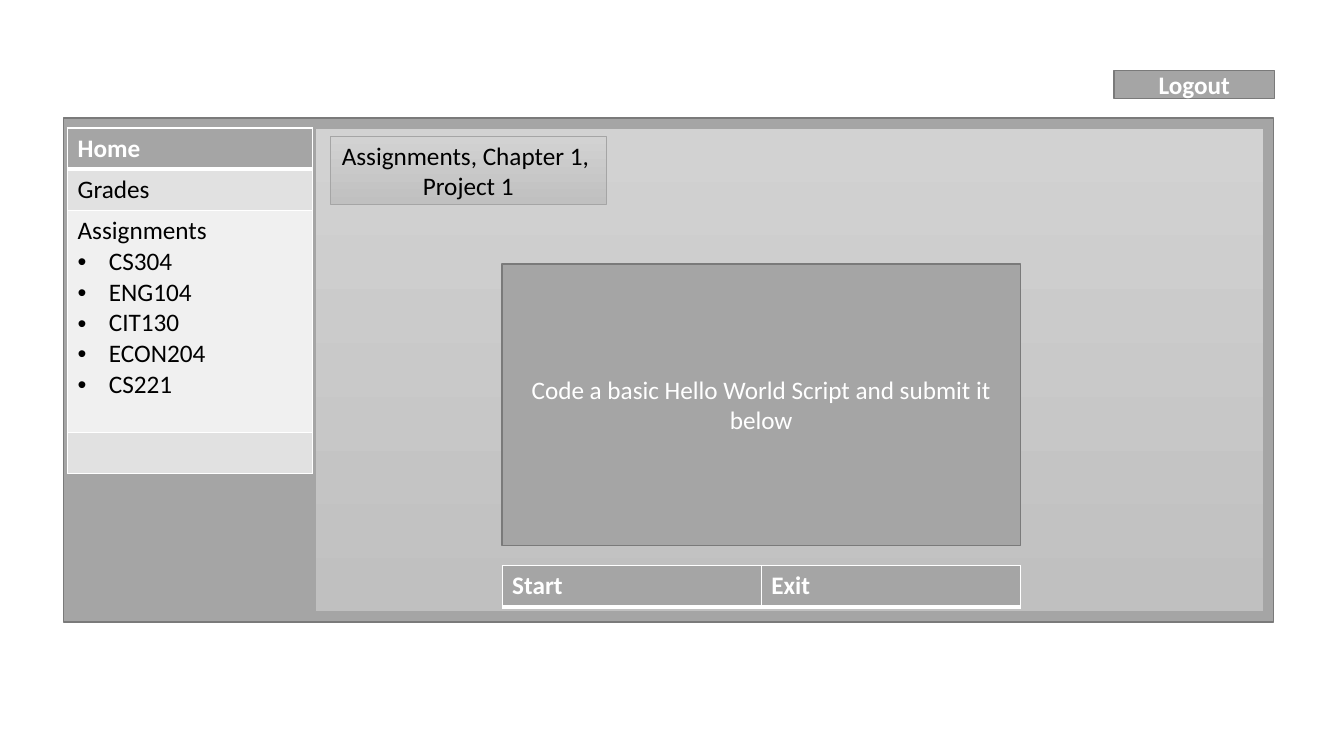
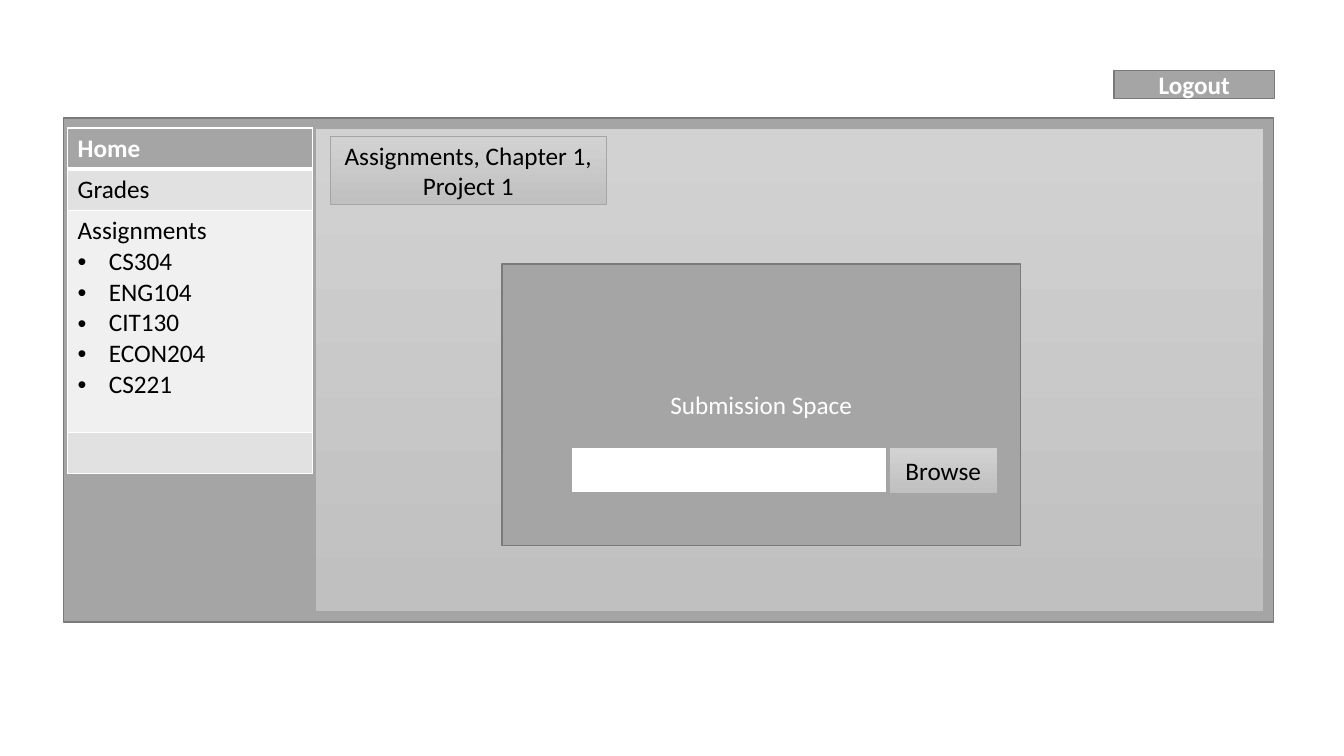
from typing import NamedTuple

from lxml import etree
from pptx import Presentation
from pptx.dml.color import RGBColor
from pptx.enum.shapes import MSO_SHAPE
from pptx.enum.text import MSO_ANCHOR, PP_ALIGN
from pptx.oxml.ns import qn
from pptx.util import Pt

RECTANGLE = MSO_SHAPE.RECTANGLE
MIDDLE = MSO_ANCHOR.MIDDLE
CENTER = PP_ALIGN.CENTER

EMU_PER_PX = 9144
BLANK_LAYOUT = 6

WHITE = RGBColor(0xFF, 0xFF, 0xFF)
BLACK = RGBColor(0x00, 0x00, 0x00)
GRAY = RGBColor(0xA5, 0xA5, 0xA5)
DARK_GRAY = RGBColor(0x7A, 0x7A, 0x7A)
BAND_GRAY = RGBColor(0xE1, 0xE1, 0xE1)
PALE_GRAY = RGBColor(0xF0, 0xF0, 0xF0)
GRADIENT = (RGBColor(0xD2, 0xD2, 0xD2), RGBColor(0xC0, 0xC0, 0xC0))

SOLID = {"fill": GRAY, "line": DARK_GRAY, "line_width": 1, "color": WHITE}
SHADED = {"fill": GRADIENT, "line": GRAY, "line_width": 0.5, "color": BLACK}
FIELD = {"fill": WHITE, "line": GRAY, "line_width": 1, "color": BLACK}
HEADER = {"color": WHITE, "bold": True}
BODY = {"color": BLACK, "bold": False}

THIN, THICK = 1, 3
BULLET_INDENT = 31
ROW_HEIGHT = 41
COURSES = ["CS304", "ENG104", "CIT130", "ECON204", "CS221"]


class Box(NamedTuple):
    left: int
    top: int
    width: int
    height: int

    def inner(self, left, top, width, height):
        """Box whose corner is offset from the corner of this one."""
        return Box(self.left + left, self.top + top, width, height)

    def emu(self):
        return [px(length) for length in self]


FRAME = Box(63, 117, 1200, 500)


def px(length):
    return length * EMU_PER_PX


def style_runs(paragraph, color, bold=False):
    formats = {"name": "Calibri", "size": Pt(18), "bold": bold}
    for run in paragraph.runs:
        for name, value in formats.items():
            setattr(run.font, name, value)
        run.font.color.rgb = color


def fill_solid(target, color):
    target.fill.solid()
    target.fill.fore_color.rgb = color


def fill_gradient(shape, colors):
    """Fill from top to bottom."""
    shape.fill.gradient()
    shape.fill.gradient_angle = 270
    for stop, color in zip(shape.fill.gradient_stops, colors):
        stop.color.rgb = color


def add_box(slide, box, style, lines=(), bold=False):
    shape = slide.shapes.add_shape(RECTANGLE, *box.emu())
    shape.shadow.inherit = False
    if style["fill"] is GRADIENT:
        fill_gradient(shape, GRADIENT)
    else:
        fill_solid(shape, style["fill"])
    shape.line.color.rgb = style["line"]
    shape.line.width = Pt(style["line_width"])
    if lines:
        frame = shape.text_frame
        frame.word_wrap = True
        frame.vertical_anchor = MIDDLE
        frame.text = "\n".join(lines)
        for paragraph in frame.paragraphs:
            paragraph.alignment = CENTER
            style_runs(paragraph, style["color"], bold)


def set_borders(cell, top=THIN, bottom=THIN):
    properties = cell._tc.get_or_add_tcPr()
    widths = {"a:lnL": THIN, "a:lnR": THIN, "a:lnT": top, "a:lnB": bottom}
    for position, (tag, width) in enumerate(widths.items()):
        line = etree.Element(qn(tag), w=str(Pt(width)))
        fill = etree.SubElement(line, qn("a:solidFill"))
        etree.SubElement(fill, qn("a:srgbClr"), val=str(WHITE))
        properties.insert(position, line)


def add_bullet(paragraph):
    properties = paragraph._p.get_or_add_pPr()
    properties.set("marL", str(px(BULLET_INDENT)))
    properties.set("indent", str(-px(BULLET_INDENT)))
    etree.SubElement(properties, qn("a:buFont"), typeface="Arial")
    etree.SubElement(properties, qn("a:buChar"), char="•")


def add_plain_table(slide, box, row_heights, column_count):
    """Table with equal columns and no banding."""
    frame = slide.shapes.add_table(len(row_heights), column_count, *box.emu())
    table = frame.table
    table.horz_banding = False
    table.first_row = False
    for column in table.columns:
        column.width = px(box.width // column_count)
    for row, height in zip(table.rows, row_heights):
        row.height = px(height)
    return table


def fill_cell(cell, lines, fill, style, top=THIN, bottom=THIN):
    """Write the first line plain and the others as bullets."""
    fill_solid(cell, fill)
    set_borders(cell, top, bottom)
    cell.text_frame.text = "\n".join(lines)
    for position, paragraph in enumerate(cell.text_frame.paragraphs):
        style_runs(paragraph, **style)
        if position:
            add_bullet(paragraph)


def add_menu(slide, box):
    heights = [ROW_HEIGHT, ROW_HEIGHT, 220, ROW_HEIGHT]
    table = add_plain_table(slide, box, heights, 1)
    rows = [
        (["Home"], GRAY, HEADER, THIN, THICK),
        (["Grades"], BAND_GRAY, BODY, THICK),
        (["Assignments", *COURSES], PALE_GRAY, BODY),
        ([], BAND_GRAY, BODY),
    ]
    for position, row in enumerate(rows):
        fill_cell(table.cell(position, 0), *row)


def add_buttons(slide, box, labels):
    table = add_plain_table(slide, box, [box.height], len(labels))
    for position, label in enumerate(labels):
        fill_cell(table.cell(0, position), [label], GRAY, HEADER, bottom=THICK)


def add_page(presentation, frame, title_lines, message):
    """Add the shared page and return its slide and the box of its card."""
    slide = presentation.slides.add_slide(presentation.slide_layouts[BLANK_LAYOUT])
    panel = frame.inner(250, 10, 940, 480)
    card = panel.inner(185, 135, 514, 279)
    add_box(slide, frame, SOLID)
    add_box(slide, panel, SHADED)
    add_box(slide, panel.inner(15, 8, 273, 68), SHADED, title_lines)
    add_menu(slide, frame.inner(4, 10, 243, 343))
    add_box(slide, frame.inner(1042, -47, 159, 28), SOLID, ["Logout"], bold=True)
    add_box(slide, card, SOLID, [message])
    return slide, card


def add_task_slide(presentation, frame):
    slide, card = add_page(
        presentation, frame, ["Assignments, Chapter 1, ", "Project 1"],
        "Code a basic Hello World Script and submit it below")
    buttons = card.inner(0, card.height + 20, card.width, ROW_HEIGHT)
    add_buttons(slide, buttons, ["Start", "Exit"])


def add_submission_slide(presentation, frame):
    slide, card = add_page(
        presentation, frame, ["Assignments, Chapter 1, Project 1"],
        "Submission Space")
    field = card.inner(69, 182, 312, 45)
    add_box(slide, field, FIELD)
    add_box(slide, field.inner(field.width + 3, 0, 107, field.height), SHADED, ["Browse"])


def main():
    presentation = Presentation()
    presentation.slide_width = px(1333)
    presentation.slide_height = px(750)
    add_task_slide(presentation, FRAME)
    add_submission_slide(presentation, FRAME)
    presentation.save("out.pptx")


if __name__ == "__main__":
    main()
